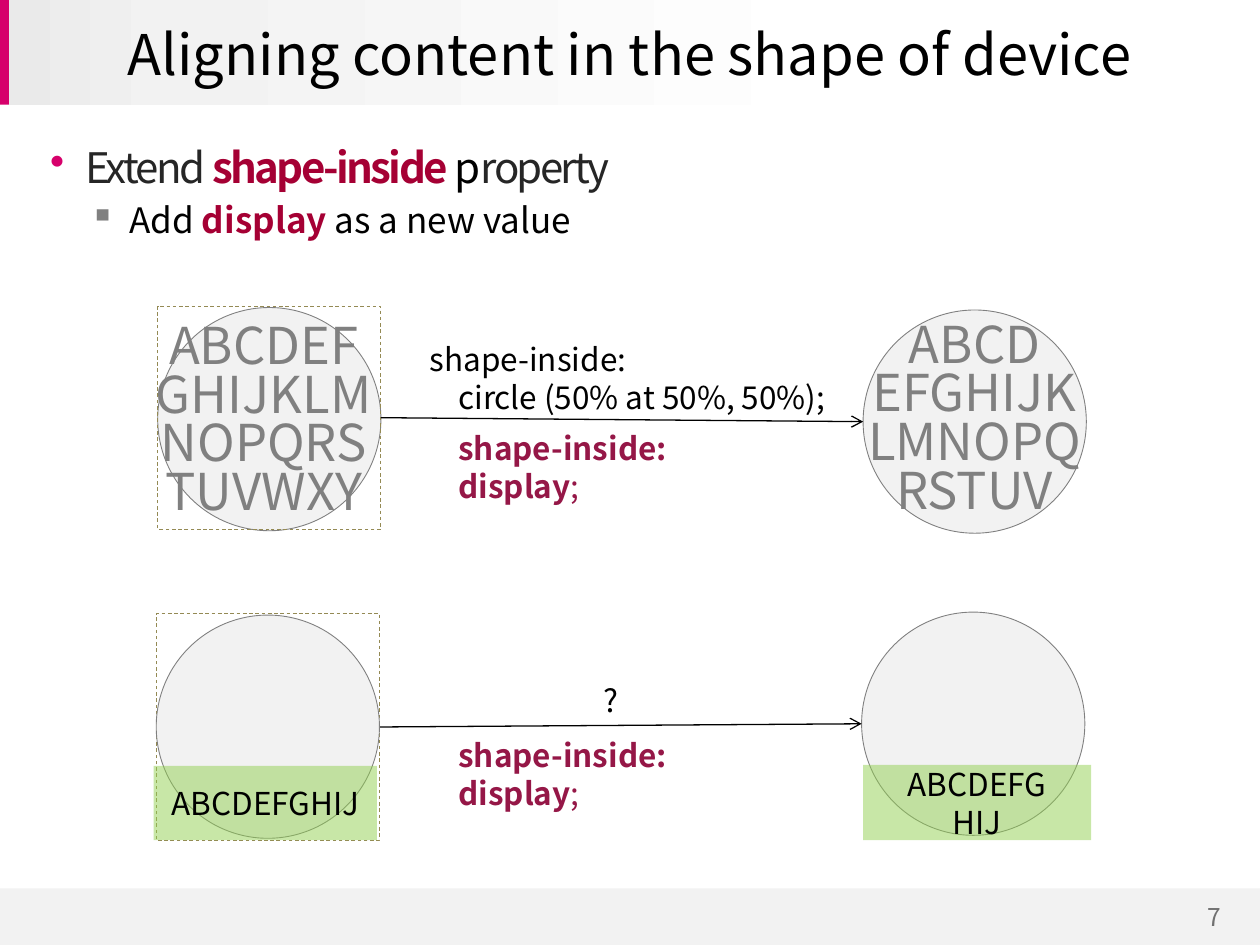
from copy import deepcopy

from lxml.etree import SubElement
from pptx import Presentation
from pptx.dml.color import RGBColor
from pptx.enum.dml import MSO_LINE
from pptx.enum.shapes import MSO_CONNECTOR, MSO_SHAPE
from pptx.enum.text import MSO_ANCHOR, PP_ALIGN
from pptx.oxml.ns import qn
from pptx.util import Cm, Pt

FONT = "Noto Sans CJK KR"
BLACK, GREY, PALE = "000000", "808080", "F2F2F2"
PINK, CRIMSON, WINE = "D6006B", "A50034", "951747"
DIAMETER = 4.5


def rgb(value):
    """Turn a hex string into a colour."""
    return RGBColor.from_string(value)


def style_runs(paragraph, size, color, bold=False):
    """Format every run of a paragraph alike."""
    for run in paragraph.runs:
        run.font.name = FONT
        run.font.size = Pt(size)
        run.font.bold = bold
        run.font.color.rgb = rgb(color)


def write_lines(frame, paragraphs, size, color, spacing=None):
    """Fill a frame with centred, unwrapped paragraphs."""
    frame.word_wrap = False
    frame.vertical_anchor = MSO_ANCHOR.MIDDLE
    frame.margin_left = frame.margin_right = frame.margin_top = frame.margin_bottom = 0
    for index, wording in enumerate(paragraphs):
        paragraph = frame.paragraphs[0] if index == 0 else frame.add_paragraph()
        paragraph.text = wording
        paragraph.alignment = PP_ALIGN.CENTER
        paragraph.line_spacing = spacing
        style_runs(paragraph, size, color)


def add_parts(paragraph, parts, size, tracking=0):
    """Add runs given as wording, colour and weight."""
    for wording, color, bold in parts:
        run = paragraph.add_run()
        run.text = wording
        run.font.name = FONT
        run.font.size = Pt(size)
        run.font.bold = bold
        run.font.color.rgb = rgb(color)
        if tracking:
            run.font._element.set("spc", str(tracking))


def add_text(slide, left, top, width, height):
    """Add a wrapping text box and return its frame."""
    frame = slide.shapes.add_textbox(Cm(left), Cm(top), Cm(width), Cm(height)).text_frame
    frame.word_wrap = True
    return frame


def add_figure(slide, kind, left, top, width, height, fill=None, line=None):
    """Add a flat preset shape."""
    figure = slide.shapes.add_shape(kind, Cm(left), Cm(top), Cm(width), Cm(height))
    figure.shadow.inherit = False
    if fill:
        figure.fill.solid()
        figure.fill.fore_color.rgb = rgb(fill)
    else:
        figure.fill.background()
    if line:
        figure.line.color.rgb = rgb(line)
        figure.line.width = Pt(0.5)
    else:
        figure.line.fill.background()
    return figure


def add_device(slide, left, top):
    """Add the round screen of a device."""
    return add_figure(slide, MSO_SHAPE.OVAL, left, top, DIAMETER, DIAMETER, PALE, GREY)


def add_content_box(slide, left, top, height):
    """Add the dashed box around unshaped content."""
    box = add_figure(slide, MSO_SHAPE.RECTANGLE, left, top, DIAMETER, height, line="948A54")
    box.line.dash_style = MSO_LINE.DASH
    return box


def add_strip(slide, left, top, width, height, wording):
    """Add a half-transparent green strip with its wording."""
    strip = add_figure(slide, MSO_SHAPE.RECTANGLE, left, top, width, height, "92D050")
    green = strip._element.spPr.find(f"{qn('a:solidFill')}/{qn('a:srgbClr')}")
    SubElement(green, qn("a:alpha"), val="50000")
    write_lines(strip.text_frame, [wording], 18, BLACK)


def add_arrow(slide, content_box, end_x, end_y):
    """Lead from the right side of a content box to a device."""
    arrow = slide.shapes.add_connector(MSO_CONNECTOR.STRAIGHT, 0, 0, Cm(end_x), Cm(end_y))
    arrow.begin_connect(content_box, 3)
    arrow.line.color.rgb = rgb(BLACK)
    arrow.line.width = Pt(0.75)
    SubElement(arrow.line._get_or_add_ln(), qn("a:tailEnd"), type="arrow")
    SubElement(arrow._element.spPr, qn("a:effectLst"))


def add_display_rule(slide, top):
    """Add the proposed rule below an arrow."""
    frame = add_text(slide, 8.99, top, 6.3, 1.02)
    add_parts(frame.paragraphs[0], [("shape-inside: display", WINE, True), (";", WINE, False)], 18)


def add_bullet(paragraph, mark, color, margin, hang):
    """Give a paragraph a hanging coloured bullet."""
    properties = paragraph._p.get_or_add_pPr()
    properties.set("marL", str(Cm(margin)))
    properties.set("indent", str(-Cm(hang)))
    bullet_color = SubElement(properties, qn("a:buClr"))
    SubElement(bullet_color, qn("a:srgbClr"), val=color)
    SubElement(properties, qn("a:buChar"), char=mark)


def add_background(slide):
    """Add the header band, accent, footer and page number."""
    add_figure(slide, MSO_SHAPE.RECTANGLE, 0, 17.91, 25.4, 1.14, PALE)
    header = add_figure(slide, MSO_SHAPE.RECTANGLE, 0.18, 0, 25.22, 2.11)
    header.fill.gradient()
    header.fill.gradient_angle = 0
    stops = header._element.spPr.find(f"{qn('a:gradFill')}/{qn('a:gsLst')}")
    stops.append(deepcopy(stops[-1]))
    shades = [(0, "EAEAEA"), (0.13, PALE), (0.67, "FFFFFF")]
    for stop, (position, shade) in zip(header.fill.gradient_stops, shades):
        stop.position = position
        stop.color.rgb = rgb(shade)
    add_figure(slide, MSO_SHAPE.RECTANGLE, 0, 0, 0.18, 2.11, PINK)
    page_number = add_text(slide, 23.6, 18.06, 1.75, 0.86)
    write_lines(page_number, ["7"], 14, "707070")


def set_title(slide):
    """Place and format the title."""
    title = slide.shapes.title
    title.left, title.top, title.width, title.height = Cm(0.5), Cm(0.2), Cm(24.4), Cm(1.73)
    write_lines(title.text_frame, ["Aligning content in the shape of device"], 32, BLACK)


def add_proposal(slide):
    """Add the two bulleted statements."""
    frame = add_text(slide, 0.5, 2.72, 24.4, 15)
    extend, value = frame.paragraphs[0], frame.add_paragraph()
    extend.space_before, value.space_before = Pt(6), Pt(4)
    value.level = 1
    add_bullet(extend, "•", PINK, 0.97, 0.71)
    add_bullet(value, "▪", GREY, 1.7, 0.64)
    add_parts(extend, [("Extend ", "262626", False), ("shape-inside ", CRIMSON, True),
                       ("p", BLACK, False), ("roperty", "262626", False)], 24, -150)
    add_parts(value, [(" Add ", BLACK, False), ("display", CRIMSON, True),
                      (" as a new value", BLACK, False)], 20)


def add_circle_example(slide):
    """Show text reflowing inside a round device."""
    shaped = add_device(slide, 17.4, 6.25)
    write_lines(shaped.text_frame, ["ABCD\nEFGHIJK\nLMNOPQ\nRSTUV"], 29, GREY, 0.8)
    add_device(slide, 3.18, 6.2)
    letters = add_text(slide, 2.92, 5.92, 4.8, 5.21)
    write_lines(letters, ["ABCDEF", "GHIJKLM", "NOPQRS\nTUVWXY"], 29, GREY, 0.8)
    content_box = add_content_box(slide, 3.18, 6.17, DIAMETER)
    add_arrow(slide, content_box, 17.4, 8.5)
    rule = add_text(slide, 8.41, 6.73, 8.76, 1.8)
    rule.text = "shape-inside:\ncircle (50% at 50%, 50%);"
    for paragraph in rule.paragraphs:
        style_runs(paragraph, 18, BLACK)
    rule.paragraphs[1]._p.get_or_add_pPr().set("marL", str(Cm(0.58)))
    add_display_rule(slide, 8.53)


def add_strip_example(slide):
    """Show a bottom strip on a round device."""
    add_device(slide, 17.37, 12.34)
    content_box = add_content_box(slide, 3.15, 12.37, 4.57)
    add_arrow(slide, content_box, 17.37, 14.59)
    add_device(slide, 3.15, 12.4)
    add_strip(slide, 17.4, 15.42, 4.6, 1.52, "ABCDEFG\nHIJ")
    add_strip(slide, 3.1, 15.44, 4.5, 1.5, "ABCDEFGHIJ")
    add_display_rule(slide, 14.71)
    question = add_text(slide, 11.91, 13.61, 0.81, 1.02)
    write_lines(question, ["?"], 18, BLACK)


def main():
    """Build and save the slide."""
    deck = Presentation()
    deck.slide_width, deck.slide_height = Cm(25.4), Cm(19.05)
    slide = deck.slides.add_slide(deck.slide_layouts[5])
    add_background(slide)
    set_title(slide)
    title = slide.shapes.title._element
    title.getparent().append(title)
    add_proposal(slide)
    add_circle_example(slide)
    add_strip_example(slide)
    deck.save("out.pptx")


if __name__ == "__main__":
    main()
